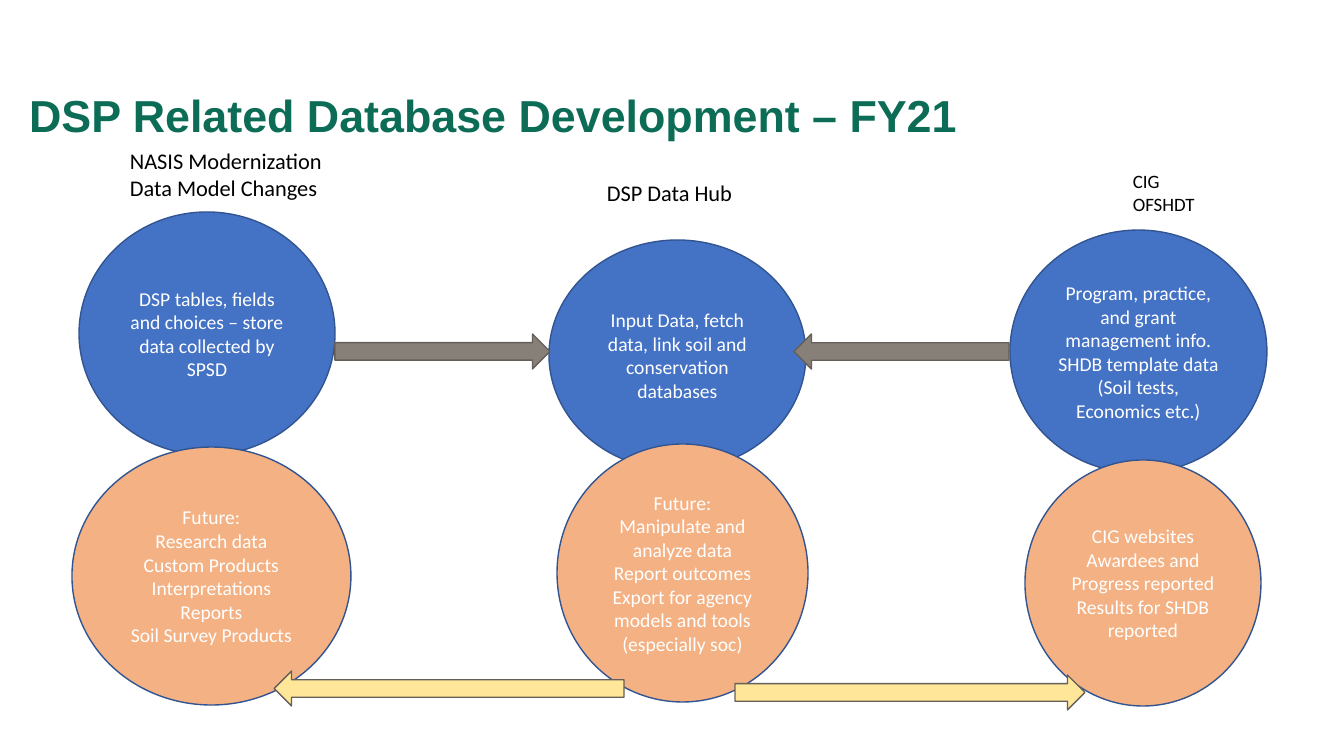
import pptx
import pptx.util
import pptx.dml.color
import pptx.enum.shapes
import pptx.enum.text

RGBColor = pptx.dml.color.RGBColor
MSO_SHAPE = pptx.enum.shapes.MSO_SHAPE
PP_ALIGN = pptx.enum.text.PP_ALIGN
MSO_ANCHOR = pptx.enum.text.MSO_ANCHOR

GREEN = RGBColor(0x0C, 0x6C, 0x55)
BLUE = RGBColor(0x44, 0x72, 0xC4)
ORANGE = RGBColor(0xF4, 0xB1, 0x83)
NAVY = RGBColor(0x32, 0x54, 0x91)
GRAY = RGBColor(0x87, 0x80, 0x78)
YELLOW = RGBColor(0xFF, 0xE6, 0x99)
DARK_GRAY = RGBColor(0x64, 0x5F, 0x59)
WHITE = RGBColor(0xFF, 0xFF, 0xFF)
BLACK = RGBColor(0x00, 0x00, 0x00)

SLIDE_SIZE = (1344, 756)
TITLE = "DSP Related Database Development – FY21"
TITLE_BOX = (19, 89, 1109, 85)

LABELS = [
    ((120, 142, 215, 65), 16, ["NASIS Modernization", "Data Model Changes"]),
    ((597, 174, 147, 37), 16, ["DSP Data Hub"]),
    ((1123, 165, 83, 56), 13.5, ["CIG", "OFSHDT"]),
]

CIRCLES = [
    ((79, 212, 256, 243), BLUE,
     ["DSP tables, fields and choices – store data collected by SPSD"]),
    ((549, 240, 257, 230), BLUE,
     ["Input Data, fetch data, link soil and conservation databases"]),
    ((1010, 230, 257, 243), BLUE,
     ["Program, practice, and grant management info. SHDB template data "
      "(Soil tests, Economics etc.)"]),
    ((72, 447, 279, 258), ORANGE,
     ["Future:", "Research data", "Custom Products", "Interpretations",
      "Reports", "Soil Survey Products"]),
    ((557, 444, 251, 258), ORANGE,
     ["Future:", "Manipulate and analyze data", "Report outcomes",
      "Export for agency models and tools (especially soc)"]),
    ((1025, 460, 236, 246), ORANGE,
     ["CIG websites", "Awardees and Progress reported",
      "Results for SHDB reported"]),
]

ARROWS = [
    ((335, 334, 215, 35), 0, GRAY),
    ((794, 334, 215, 35), 180, GRAY),
    ((735, 675, 350, 35), 0, YELLOW),
    ((274, 671, 350, 35), 180, YELLOW),
]

PX = 914400 / 100.8


def px(*lengths):
    return [pptx.util.Emu(round(n * PX)) for n in lengths]


def apply(target, values):
    for name, value in values.items():
        setattr(target, name, value)


def write(tf, lines, font, color, align=None, spacing=None):
    for i, line in enumerate(lines):
        p = tf.add_paragraph() if i else tf.paragraphs[0]
        apply(p, {"alignment": align, "line_spacing": spacing})
        r = p.add_run()
        r.text = line
        apply(r.font, font)
        r.font.color.rgb = color


def add_filled(s, kind, box, fill, line):
    sp = s.shapes.add_shape(kind, *px(*box))
    sp.shadow.inherit = False
    sp.fill.solid()
    sp.fill.fore_color.rgb = fill
    sp.line.color.rgb = line
    sp.line.width = pptx.util.Pt(1)
    return sp


def body_font(size):
    return {"name": "Calibri", "size": pptx.util.Pt(size)}


def main():
    prs = pptx.Presentation()
    prs.slide_width, prs.slide_height = px(*SLIDE_SIZE)
    s = prs.slides.add_slide(prs.slide_layouts[5])

    title = s.shapes.title
    apply(title, dict(zip(("left", "top", "width", "height"), px(*TITLE_BOX))))
    apply(title.text_frame, {"vertical_anchor": MSO_ANCHOR.TOP, "word_wrap": True,
                             "auto_size": pptx.enum.text.MSO_AUTO_SIZE.NONE})
    write(title.text_frame, [TITLE],
          {"name": "Arial", "size": pptx.util.Pt(32), "bold": True},
          GREEN, PP_ALIGN.LEFT, 0.9)

    for box, size, lines in LABELS:
        tf = s.shapes.add_textbox(*px(*box)).text_frame
        tf.word_wrap = False
        write(tf, lines, body_font(size), BLACK, PP_ALIGN.LEFT)

    margin_x, margin_y = px(7, 4)
    for box, fill, lines in CIRCLES:
        tf = add_filled(s, MSO_SHAPE.OVAL, box, fill, NAVY).text_frame
        apply(tf, {"margin_left": margin_x, "margin_right": margin_x,
                   "margin_top": margin_y, "margin_bottom": margin_y,
                   "vertical_anchor": MSO_ANCHOR.MIDDLE, "word_wrap": True})
        write(tf, lines, body_font(14), WHITE, PP_ALIGN.CENTER)

    for box, rotation, fill in ARROWS:
        sp = add_filled(s, MSO_SHAPE.RIGHT_ARROW, box, fill, DARK_GRAY)
        sp.rotation = rotation

    prs.save("out.pptx")


if __name__ == "__main__":
    main()
